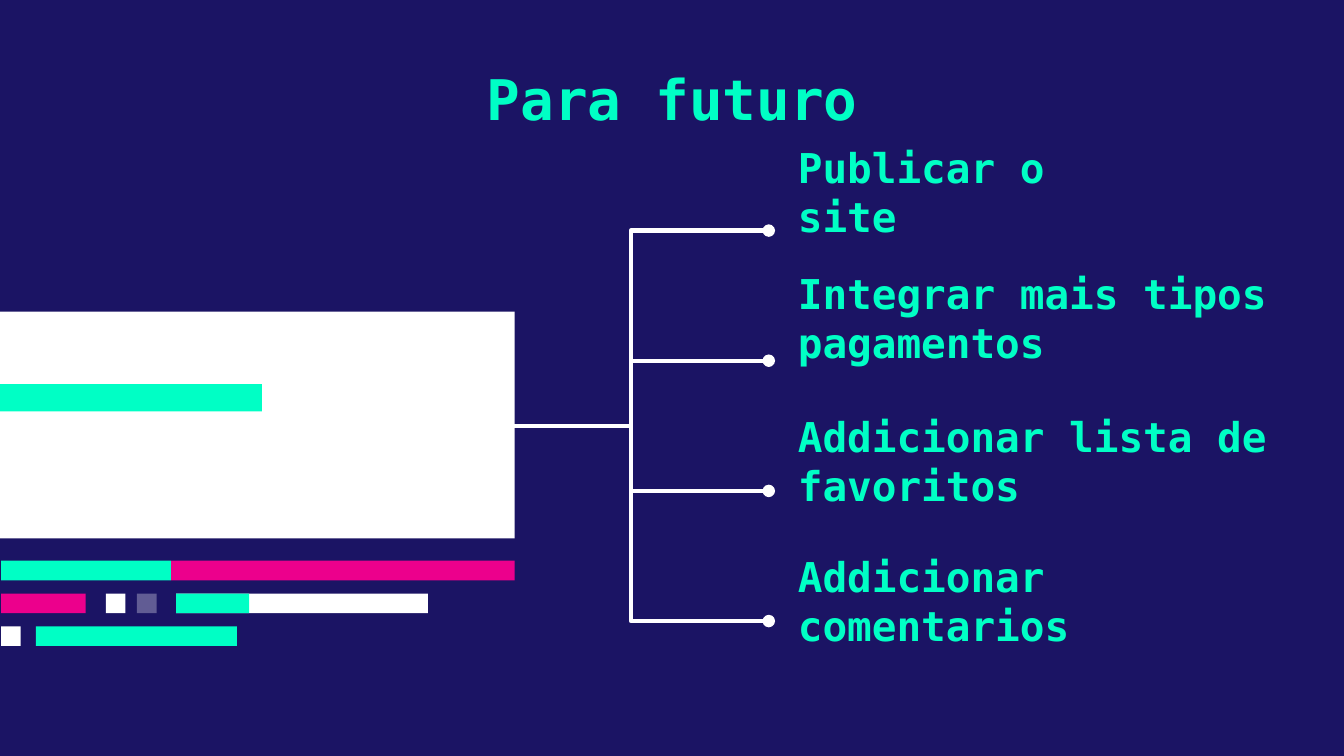
from lxml import etree
from pptx import Presentation
from pptx import util as u
from pptx.dml.color import RGBColor
from pptx.enum import shapes, text
from pptx.oxml.ns import qn

NAVY, MINT, PINK, WHITE = "1B1464", "00FFC5", "EC008C", "FFFFFF"


def color(hex_string):
    return RGBColor.from_string(hex_string)


class Deck:
    """Holds the style and the current slide."""
    font = "DejaVu Sans Mono"

    def __init__(self, width, height):
        self.prs = Presentation()
        self.prs.slide_width, self.prs.slide_height = u.Cm(width), u.Cm(height)
        self.s = self.prs.slides.add_slide(self.prs.slide_layouts[5])
        fill = self.s.background.fill
        fill.solid()
        fill.fore_color.rgb = color(NAVY)

    def set_text(self, sp, words, size, align, anchor, pad):
        tf = sp.text_frame
        tf.word_wrap = True
        tf.auto_size = text.MSO_AUTO_SIZE.NONE
        tf.vertical_anchor = anchor
        tf.margin_left = tf.margin_right = u.Cm(0.25)
        tf.margin_top = tf.margin_bottom = u.Cm(pad)
        p = tf.paragraphs[0]
        p.text, p.alignment = words, align
        p.font.name, p.font.size, p.font.bold = self.font, u.Pt(size), True
        p.font.color.rgb = color(MINT)

    def title(self, words, x, y, w, h):
        sp = self.s.shapes.title
        sp.left, sp.top, sp.width, sp.height = map(u.Cm, (x, y, w, h))
        self.set_text(sp, words, 30, text.PP_ALIGN.CENTER, text.MSO_ANCHOR.TOP, 0.25)

    def label(self, words, x, y, w, h):
        sp = self.s.shapes.add_textbox(*map(u.Cm, (x, y, w, h)))
        self.set_text(sp, words, 22, text.PP_ALIGN.LEFT, text.MSO_ANCHOR.MIDDLE, 0)

    def bar(self, x, y, w, h, fill, alpha=100):
        sp = self.s.shapes.add_shape(shapes.MSO_SHAPE.RECTANGLE,
                                     *map(u.Cm, (x, y, w, h)))
        sp.shadow.inherit = False
        sp.fill.solid()
        sp.fill.fore_color.rgb = color(fill)
        sp.line.fill.background()
        if alpha < 100:
            clr = sp._element.spPr.find(".//" + qn("a:srgbClr"))
            etree.SubElement(clr, qn("a:alpha"), val=str(alpha * 1000))

    def branch(self, x1, y1, x2, y2):
        c = self.s.shapes.add_connector(shapes.MSO_CONNECTOR.ELBOW,
                                        *map(u.Cm, (x1, y1, x2, y2)))
        c.line.color.rgb = color(WHITE)
        c.line.width = u.Pt(2.25)
        spPr = c._element.spPr
        etree.SubElement(spPr.find(qn("a:ln")), qn("a:tailEnd"), type="oval")
        etree.SubElement(spPr, qn("a:effectLst"))


def main():
    deck = Deck(25.4, 14.29)

    # White panel and title
    deck.bar(0, 5.89, 9.73, 4.29, WHITE)
    deck.title("Para futuro", 3.56, 0.97, 18.29, 1.85)

    # Plans: words, top, width, height
    plans = [
        ("Publicar o site", 2.82, 7.45, 1.6),
        ("Integrar mais tipos pagamentos", 5.21, 9.58, 1.6),
        ("Addicionar lista de favoritos", 8.05, 9.58, 1.32),
        ("Addicionar comentarios", 10.97, 7.45, 0.76),
    ]
    for words, y, w, h in plans:
        deck.label(words, 14.83, y, w, h)

    # Code-like bars: row, left, width, fill, opacity
    deck.bar(0, 7.26, 4.95, 0.52, MINT)
    bars = [
        (0, 3.23, 6.5, PINK, 100),
        (0, 0.02, 3.21, MINT, 100),
        (1, 3.33, 4.76, WHITE, 100),
        (1, 3.33, 1.38, MINT, 100),
        (1, 0.02, 1.6, PINK, 100),
        (1, 2.59, 0.37, WHITE, 31),
        (1, 2, 0.37, WHITE, 100),
        (2, 0.02, 0.37, WHITE, 100),
        (2, 0.68, 3.8, MINT, 100),
    ]
    for row, x, w, fill, alpha in bars:
        deck.bar(x, 10.6 + 0.62 * row, w, 0.37, fill, alpha)

    # Branches from the panel to the plans
    for i in range(len(plans)):
        deck.branch(9.32, 8.05, 14.53, 4.36 + 2.46 * i)

    deck.prs.save("out.pptx")


if __name__ == "__main__":
    main()
